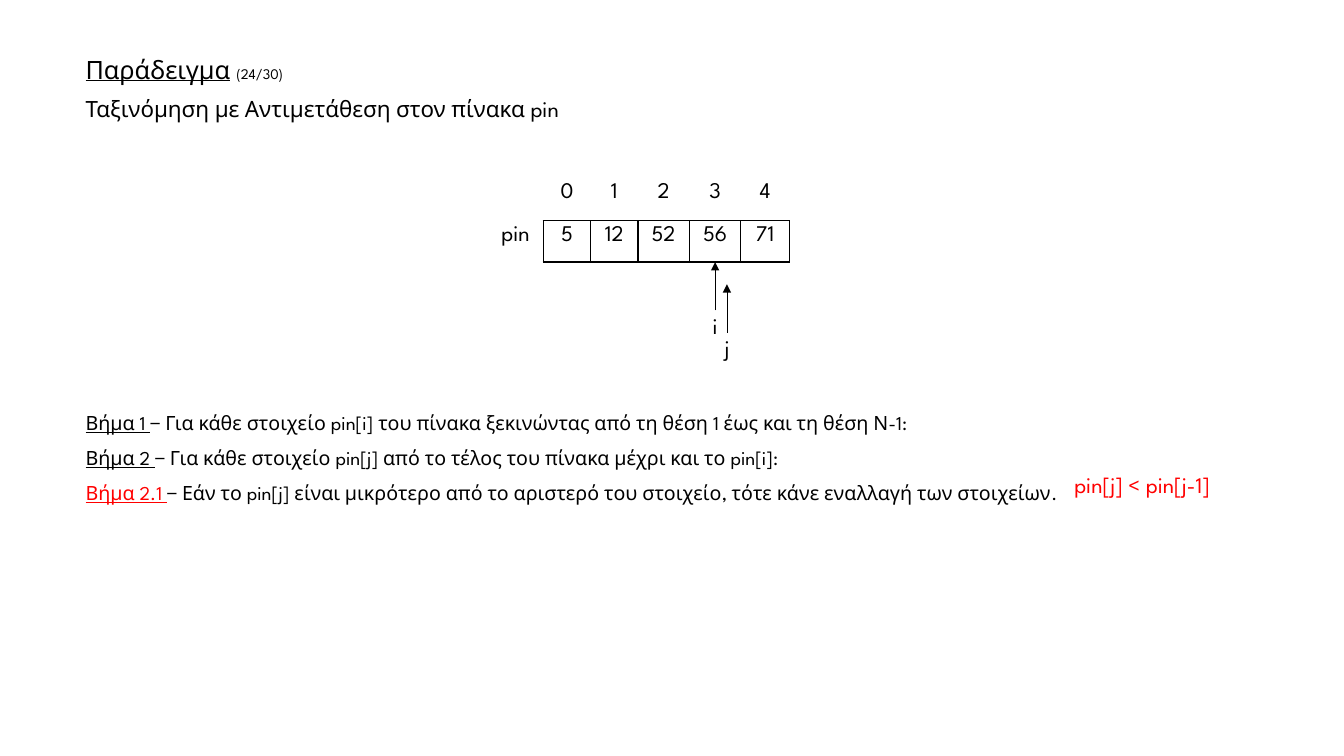
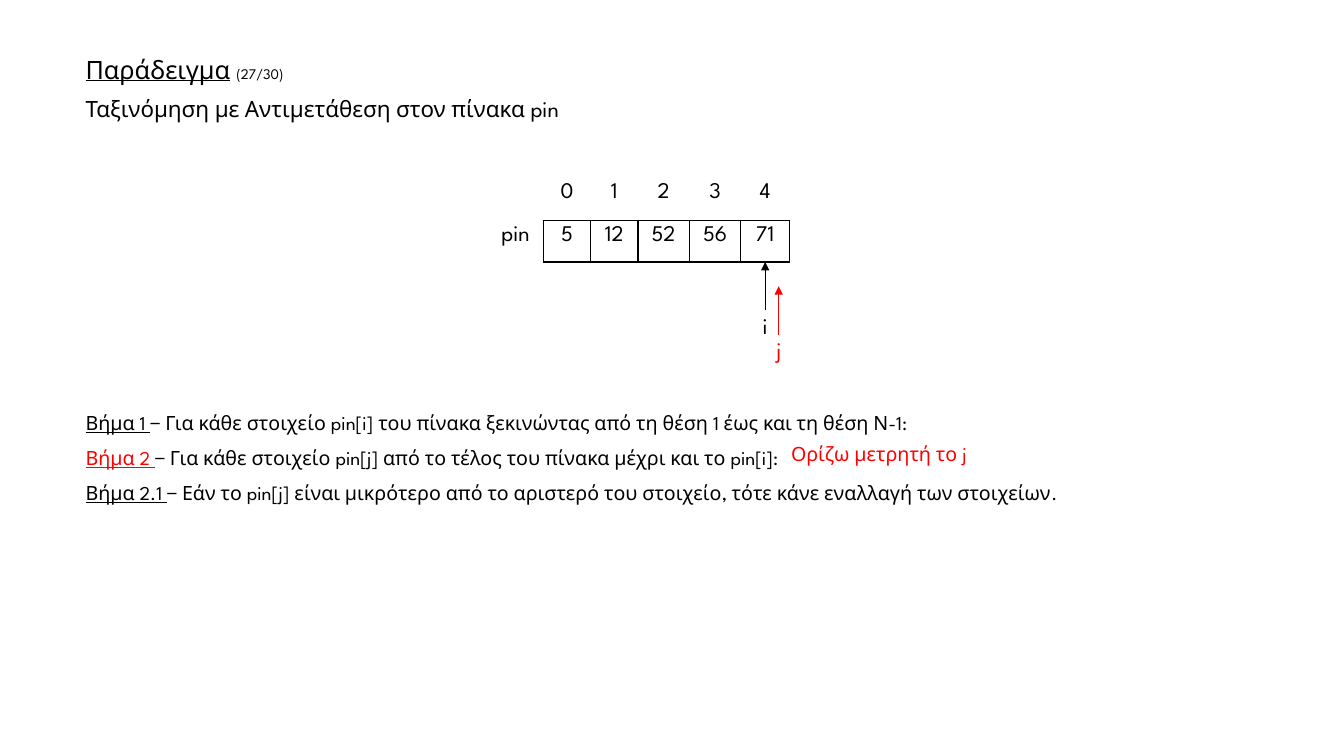
import dataclasses
import itertools

import lxml.etree
import pptx
import pptx.dml.color
import pptx.enum.shapes
import pptx.enum.text
import pptx.oxml.ns
import pptx.util

BLANK_LAYOUT = 6
UNITS_PER_INCH = 6  # the slide is a grid of 80 columns by 45 rows


@dataclasses.dataclass(frozen=True)
class Theme:
    font: str = "League Spartan"
    ink: str = "000000"
    accent: str = "FF0000"
    title: float = 18
    body: float = 16
    step: float = 14
    counter: float = 10.5
    border: float = 1
    arrow: float = 0.5
    space_before: float = 10
    tight: float = 0.9
    loose: float = 1.5


THEME = Theme()
CENTER = pptx.enum.text.PP_ALIGN.CENTER

MARGIN = 4.5
TABLE_LEFT, TABLE_TOP = 29.04, 10.56
COLUMN_WIDTHS = [3.3, 2.82, 2.82, 3.06, 3.06, 2.9]
ROW_HEIGHTS = [2.58, 2.46]
TABLE_BOTTOM = TABLE_TOP + sum(ROW_HEIGHTS)
ARROW_LENGTH = 2.88
LABEL_WIDTH, LABEL_HEIGHT = 1.44, 2.16

VALUES = [5, 12, 52, 56, 71]
STEPS = [
    ("Βήμα 1 ", "− Για κάθε στοιχείο pin[i] του πίνακα ξεκινώντας από τη θέση 1 έως και τη θέση Ν-1:"),
    ("Βήμα 2 ", "− Για κάθε στοιχείο pin[j] από το τέλος του πίνακα μέχρι και το pin[i]:"),
    ("Βήμα 2.1 ", "− Εάν το pin[j] είναι μικρότερο από το αριστερό του στοιχείο, "
                  "τότε κάνε εναλλαγή των στοιχείων."),
]


@dataclasses.dataclass(frozen=True)
class Span:
    text: str
    size: float = THEME.body
    color: str = THEME.ink
    underline: bool = False


@dataclasses.dataclass(frozen=True)
class Frame:
    """One stage of the sort: pointer places, active step and side note."""
    counter: str
    index: int
    j_offset: tuple
    j_color: str
    active_step: int
    note: Span
    note_area: tuple


FRAMES = [
    Frame("(24/30)", 3, (0.7, 1.32), THEME.ink, 2,
          Span("pin[j] < pin[j-1]", THEME.body, THEME.accent), (63.36, 27.96, 11.88, 2.82)),
    Frame("(27/30)", 4, (0.8, 1.44), THEME.accent, 1,
          Span("Ορίζω μετρητή το j", THEME.step, THEME.accent), (46.5, 26.16, 15.36, 2.34)),
]


def grid(units):
    return pptx.util.Inches(units / UNITS_PER_INCH)


def rgb(color):
    return pptx.dml.color.RGBColor.from_string(color)


def add_xml(parent, tag, **attributes):
    return lxml.etree.SubElement(parent, pptx.oxml.ns.qn(tag), attributes)


def write_spans(para, spans):
    for span in spans:
        run = para.add_run()
        run.text = span.text
        run.font.name = THEME.font
        run.font.size = pptx.util.Pt(span.size)
        run.font.color.rgb = rgb(span.color)
        run.font.underline = span.underline


def add_text(page, area, paragraphs, spacing=THEME.tight, before=0, align=None):
    box = page.shapes.add_textbox(*map(grid, area))
    box.text_frame.word_wrap = True
    for number, spans in enumerate(paragraphs):
        para = box.text_frame.add_paragraph() if number else box.text_frame.paragraphs[0]
        para.line_spacing = spacing
        para.alignment = align
        if number:
            para.space_before = pptx.util.Pt(before)
        write_spans(para, spans)
    return box


def add_title(page, counter):
    heading = [Span("Παράδειγμα", THEME.title, underline=True),
               Span(" ", THEME.title), Span(counter, THEME.counter)]
    subtitle = [Span("Ταξινόμηση με Αντιμετάθεση στον πίνακα pin")]
    add_text(page, (MARGIN, 3.12, 64.74, 4.62), [heading, subtitle],
             before=THEME.space_before)


def add_steps(page, active):
    paragraphs = [
        [Span(name, THEME.step, THEME.accent if number == active else THEME.ink, True),
         Span(text, THEME.step)]
        for number, (name, text) in enumerate(STEPS)]
    box = add_text(page, (MARGIN, 23.46, 69.2, 6.72), paragraphs, THEME.loose)
    box.text_frame.auto_size = pptx.enum.text.MSO_AUTO_SIZE.SHAPE_TO_FIT_TEXT


def set_borders(cell, visible):
    """Draw the named sides (L, R, T, B) and clear the others."""
    properties = cell._tc.get_or_add_tcPr()
    for side in "LRTB":
        line = add_xml(properties, f"a:ln{side}", w=str(pptx.util.Pt(THEME.border)))
        if side in visible:
            add_xml(add_xml(line, "a:solidFill"), "a:srgbClr", val=THEME.ink)
        else:
            add_xml(line, "a:noFill")


def add_array(page):
    rows = [["", *range(len(VALUES))], ["pin", *VALUES]]
    area = (TABLE_LEFT, TABLE_TOP, sum(COLUMN_WIDTHS), sum(ROW_HEIGHTS))
    table = page.shapes.add_table(len(rows), len(rows[0]), *map(grid, area)).table
    table.first_row = table.horz_banding = False
    for column, width in zip(table.columns, COLUMN_WIDTHS):
        column.width = grid(width)
    for row, height in zip(table.rows, ROW_HEIGHTS):
        row.height = grid(height)
    borders = [["", "B"], ["R", "LRTB"]]
    for row, column in itertools.product(range(len(rows)), range(len(rows[0]))):
        cell = table.cell(row, column)
        set_borders(cell, borders[row][min(column, 1)])
        cell.fill.background()
        para = cell.text_frame.paragraphs[0]
        para.alignment = CENTER
        if rows[row][column] != "":
            write_spans(para, [Span(str(rows[row][column]))])


def add_pointer(page, name, x, tip, color):
    """Put a letter under an arrow that rises to the height tip at x."""
    base = tip + ARROW_LENGTH
    label = add_text(page, (x - LABEL_WIDTH / 2, base, LABEL_WIDTH, LABEL_HEIGHT),
                     [[Span(name, color=color)]], align=CENTER)
    label.text_frame.margin_left = label.text_frame.margin_right = 0
    arrow = page.shapes.add_connector(pptx.enum.shapes.MSO_CONNECTOR.STRAIGHT,
                                      grid(x), grid(base), grid(x), grid(tip))
    arrow.begin_connect(label, 0)
    arrow.line.color.rgb = rgb(color)
    arrow.line.width = pptx.util.Pt(THEME.arrow)
    properties = arrow.element.spPr
    add_xml(properties.find(pptx.oxml.ns.qn("a:ln")), "a:tailEnd", type="triangle")
    add_xml(properties, "a:effectLst")


def add_pointers(page, frame):
    column = frame.index + 1
    x = TABLE_LEFT + sum(COLUMN_WIDTHS[:column]) + COLUMN_WIDTHS[column] / 2
    right, down = frame.j_offset
    add_pointer(page, "i", x, TABLE_BOTTOM, THEME.ink)
    add_pointer(page, "j", x + right, TABLE_BOTTOM + down, frame.j_color)


def main():
    deck = pptx.Presentation()
    deck.slide_width, deck.slide_height = grid(80), grid(45)
    for frame in FRAMES:
        page = deck.slides.add_slide(deck.slide_layouts[BLANK_LAYOUT])
        add_steps(page, frame.active_step)
        add_title(page, frame.counter)
        add_array(page)
        add_pointers(page, frame)
        add_text(page, frame.note_area, [[frame.note]])
    deck.save("out.pptx")


if __name__ == "__main__":
    main()
